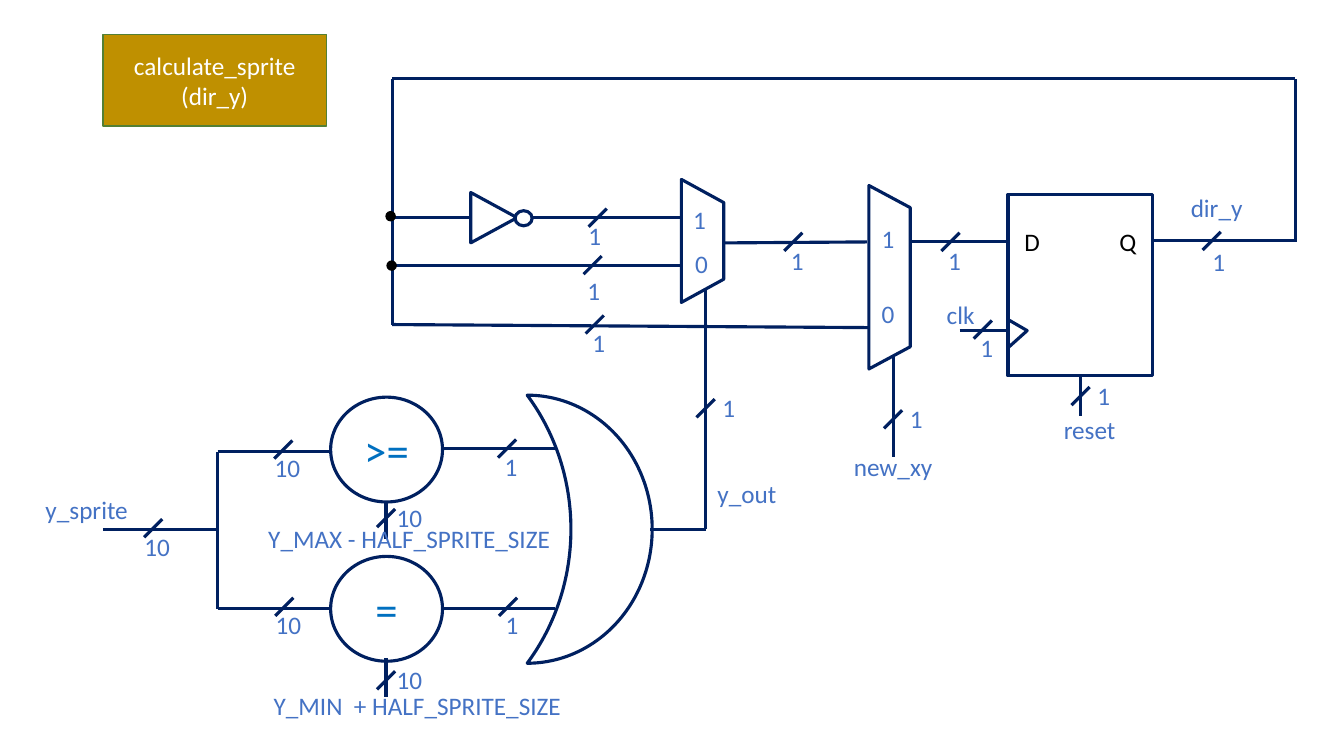
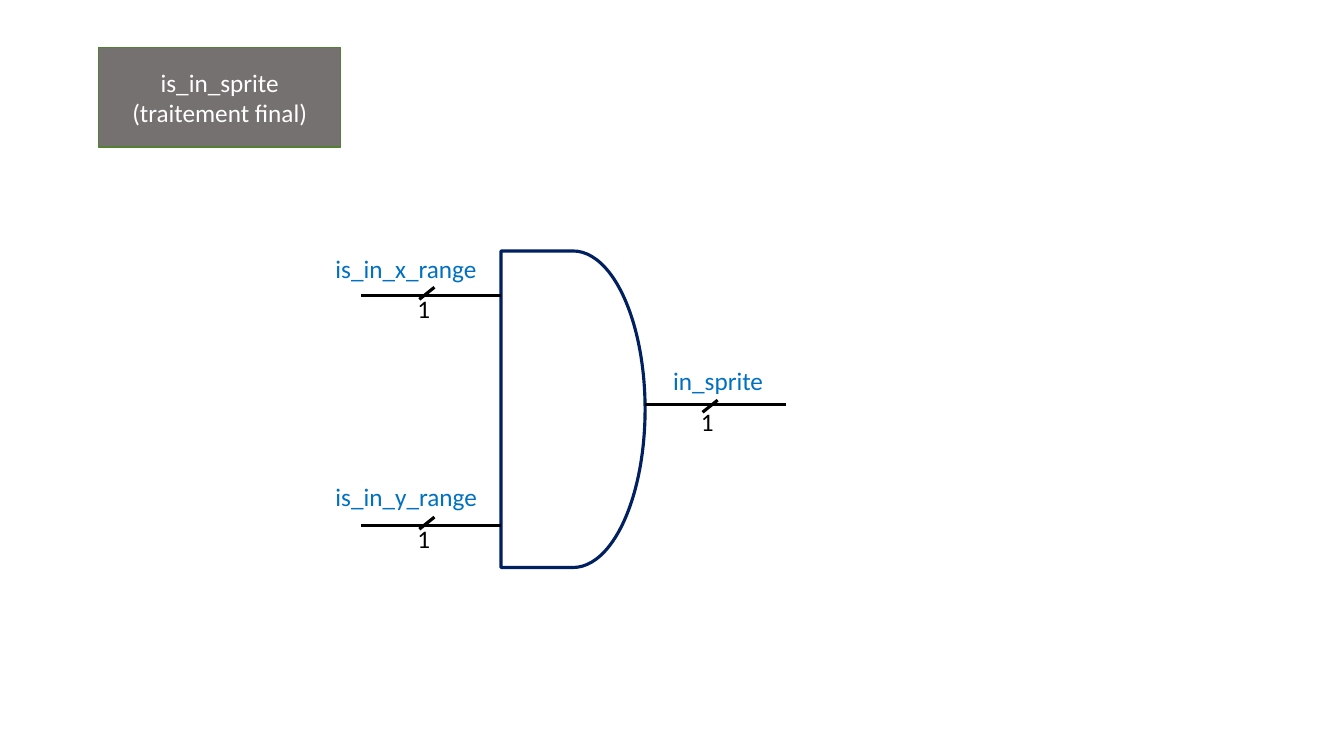
from dataclasses import dataclass
from typing import NamedTuple, Optional

from lxml.etree import SubElement
from pptx import Presentation
from pptx.dml.color import RGBColor
from pptx.enum.shapes import MSO_CONNECTOR as Connector, MSO_SHAPE as Preset
from pptx.enum.text import MSO_ANCHOR as Anchor, MSO_AUTO_SIZE as AutoSize, PP_ALIGN as Align
from pptx.oxml import parse_xml
from pptx.oxml.ns import nsdecls, qn
from pptx.util import Inches, Pt


# Colours and type sizes
@dataclass(frozen=True)
class Theme:
    font: str = "Calibri"
    text_size: float = 18
    operator_size: float = 32
    wire_width: float = 2.25
    thin_width: float = 1
    navy: str = "002060"
    label: str = "4472C4"
    accent: str = "0070C0"
    gold: str = "BF9000"
    grey: str = "767171"
    green: str = "538035"
    white: str = "FFFFFF"
    black: str = "000000"


THEME = Theme()

# Columns and rows of the grid are a tenth of an inch
CELL = Inches(0.1)
SLIDE_COLUMNS, SLIDE_ROWS = 133.33, 75
LABEL_ROWS = 4
TITLE_ONLY = 5

# Shift from a tick to the centre and top of its bit count
BELOW = (0.4, -0.2)
BESIDE = (2.3, -2.1)
UNDER_GATE_WIRE = (-0.3, -0.5)
BUS_TICK = (0.9, 0.9)
GATE_TICK = (0.75, 0.6)


class Box(NamedTuple):
    column: float
    row: float
    width: float
    height: float


class Wire(NamedTuple):
    column: float
    row: float
    end_column: float
    end_row: float


class Tick(NamedTuple):
    column: float
    row: float
    bits: str = "1"
    shift: tuple = BELOW


class Label(NamedTuple):
    text: str
    centre: float
    row: float
    width: float = 12


class Outline(NamedTuple):
    points: tuple
    closed: bool = True


class Signal(NamedTuple):
    name: str
    name_column: float
    name_row: float
    wire: Wire
    tick: Tick


def cells(count: float) -> int:
    return round(count * CELL)


def colour(code: str) -> RGBColor:
    return RGBColor.from_string(code)


# Drawing functions
def write_text(frame, text: str, *, size: float = THEME.text_size,
               ink: str = THEME.label, align=Align.CENTER,
               anchor=Anchor.TOP, wrap: bool = True) -> None:
    frame.word_wrap = wrap
    frame.auto_size = AutoSize.NONE
    frame.vertical_anchor = anchor
    for index, line in enumerate(text.split("\n")):
        paragraph = frame.paragraphs[0] if index == 0 else frame.add_paragraph()
        paragraph.alignment = align
        run = paragraph.add_run()
        run.text = line
        run.font.name = THEME.font
        run.font.size = Pt(size)
        run.font.color.rgb = colour(ink)


def paint(shape, fill: Optional[str], line: str, width: float) -> None:
    if fill is None:
        shape.fill.background()
    else:
        shape.fill.solid()
        shape.fill.fore_color.rgb = colour(fill)
    shape.line.color.rgb = colour(line)
    shape.line.width = Pt(width)


def draw_shape(slide, preset, box: Box, *, fill: Optional[str] = THEME.white,
               line: str = THEME.navy, width: float = THEME.wire_width):
    shape = slide.shapes.add_shape(preset, *map(cells, box))
    shape.shadow.inherit = False
    paint(shape, fill, line, width)
    return shape


def draw_outline(slide, outline: Outline) -> None:
    points = [tuple(map(cells, point)) for point in outline.points]
    builder = slide.shapes.build_freeform(*points[0])
    builder.add_line_segments(points[1:], close=outline.closed)
    shape = builder.convert_to_shape()
    shape.shadow.inherit = False
    paint(shape, None, THEME.navy, THEME.wire_width)


def draw_wire(slide, wire: Wire, ink: str = THEME.navy):
    connector = slide.shapes.add_connector(Connector.STRAIGHT, *map(cells, wire))
    connector.line.color.rgb = colour(ink)
    connector.line.width = Pt(THEME.wire_width)
    SubElement(connector.line._get_or_add_ln().getparent(), qn("a:effectLst"))
    return connector


def draw_label(slide, label: Label, **text_format) -> None:
    left = label.centre - label.width / 2
    box = Box(left, label.row, label.width, LABEL_ROWS)
    text_box = slide.shapes.add_textbox(*map(cells, box))
    write_text(text_box.text_frame, label.text, **text_format)


def draw_tick(slide, tick: Tick, reach: tuple = BUS_TICK,
              ink: str = THEME.navy, text_ink: str = THEME.label) -> None:
    across, up = reach
    draw_wire(slide, Wire(tick.column - across, tick.row + up,
                          tick.column + across, tick.row - up), ink)
    shift_column, shift_row = tick.shift
    draw_label(slide, Label(tick.bits, tick.column + shift_column,
                            tick.row + shift_row, 4.8), ink=text_ink)


def add_titled_slide(presentation, title: str, box: Box, fill: str):
    slide = presentation.slides.add_slide(presentation.slide_layouts[TITLE_ONLY])
    shape = slide.shapes.title
    shape.left, shape.top, shape.width, shape.height = map(cells, box)
    outline = parse_xml(f'<a:prstGeom {nsdecls("a")} prst="roundRect"><a:avLst/></a:prstGeom>')
    shape.element.spPr.find(qn("a:xfrm")).addnext(outline)
    paint(shape, fill, THEME.green, THEME.thin_width)
    write_text(shape.text_frame, title, ink=THEME.white, anchor=Anchor.MIDDLE)
    return slide


# Slide 1: vertical direction register
FLIP_FLOP = Box(100, 19.3, 14.3, 18)
COMPARATORS = ((">=", 39.4), ("=", 55.2))
JUNCTIONS = ((38.75, 21.45), (38.85, 26.35))

OUTLINES = (
    Outline(((67.6, 17.8), (71.8, 20.1), (71.8, 27.7), (67.6, 30))),    # inner multiplexer
    Outline(((86.2, 18.4), (90.3, 20.6), (90.3, 34.4), (86.2, 36.6))),  # outer multiplexer
    Outline(((46.7, 19.1), (51.3, 21.6), (46.7, 24.1))),                # inverter
    Outline(((100, 31.7), (101.9, 32.8), (100, 34.5)), closed=False),   # clock input
)

WIRES = (
    # Feedback loop
    Wire(114.3, 23.9, 128.5, 23.9), Wire(128.5, 24, 128.5, 7.8),
    Wire(38.9, 7.8, 128.5, 7.8), Wire(38.9, 32.2, 38.9, 7.8),
    # Multiplexer inputs and outputs
    Wire(38.9, 21.6, 46.8, 21.6), Wire(52.8, 21.6, 67.6, 21.6),
    Wire(38.9, 26.3, 67.6, 26.3), Wire(38.9, 32.2, 86.2, 32.5),
    Wire(71.8, 24.1, 86, 24), Wire(90.5, 24, 100, 24),
    # Selection and clock
    Wire(70, 52.5, 70, 28.7), Wire(64.5, 52.5, 70, 52.5),
    Wire(88.6, 45.3, 88.6, 35.4), Wire(95.2, 32.8, 100, 32.8),
    # Comparators
    Wire(43.9, 44.5, 55.1, 44.5), Wire(43.9, 60.4, 55.1, 60.4),
    Wire(38.3, 49.7, 38.3, 53.5), Wire(38.3, 65.3, 38.3, 69.1),
    Wire(21.6, 44.8, 32.8, 44.8), Wire(21.6, 60.4, 32.8, 60.4),
    Wire(21.6, 44.8, 21.6, 60.4), Wire(10.2, 52.5, 21.6, 52.5),
)

TICKS = (
    Tick(120.2, 23.9, shift=(0.7, 0)), Tick(94.3, 24), Tick(78.7, 24),
    Tick(59.3, 21.6, shift=(-0.3, -0.2)), Tick(58.8, 26.3, shift=(0.1, 0.5)),
    Tick(59, 32.2), Tick(97.5, 32.7),
    Tick(70, 40.5, shift=BESIDE), Tick(88.6, 41.6, shift=BESIDE),
    Tick(107.2, 39.3, shift=BESIDE),
    Tick(50.3, 44.5), Tick(50.4, 60.2),
    Tick(15.2, 52.4, "10"), Tick(28.1, 44.6, "10"), Tick(28.2, 60.2, "10"),
    Tick(38.3, 51.4, "10", BESIDE), Tick(38.3, 67.5, "10", BESIDE),
)

LABELS = (
    Label("1", 69.4, 19.8), Label("0", 69.6, 24.1),
    Label("1", 88.1, 21.7), Label("0", 88.1, 29.1),
    Label("clk", 95.3, 29.2), Label("reset", 108.1, 40.6),
    Label("dir_y", 120.7, 18.6), Label("y_sprite", 8.6, 48.5),
    Label("y_out", 74.1, 47), Label("new_xy", 88.6, 44.3, 13.5),
    Label("Y_MAX - HALF_SPRITE_SIZE", 40.6, 51.4, 34),
    Label("Y_MIN  + HALF_SPRITE_SIZE", 41.4, 68, 34.7),
)


def build_direction_slide(presentation) -> None:
    slide = add_titled_slide(presentation, "calculate_sprite\n(dir_y)",
                             Box(10.2, 3.4, 22.2, 9.1), THEME.gold)

    # Register, comparators and gates
    flip_flop = draw_shape(slide, Preset.RECTANGLE, FLIP_FLOP)
    for operator, row in COMPARATORS:
        circle = draw_shape(slide, Preset.OVAL, Box(32.8, row, 11.1, 10.4))
        write_text(circle.text_frame, operator, size=THEME.operator_size,
                   ink=THEME.accent, anchor=Anchor.MIDDLE)
    or_gate = draw_shape(slide, Preset.MOON, Box(52.3, 39.2, 12.4, 26.6), fill=None)
    or_gate.adjustments[0] = 0.65
    or_gate.rotation = 180
    for outline in OUTLINES:
        draw_outline(slide, outline)

    # Wires and junctions
    for wire in WIRES:
        draw_wire(slide, wire)
    reset_wire = draw_wire(slide, Wire(107.15, 37.3, 107.15, 41.3))
    reset_wire.begin_connect(flip_flop, 2)
    draw_shape(slide, Preset.OVAL, Box(51.1, 20.9, 1.7, 1.5))
    for column, row in JUNCTIONS:
        draw_shape(slide, Preset.OVAL, Box(column - 0.45, row - 0.45, 0.9, 0.9),
                   fill=THEME.black, line=THEME.black, width=THEME.thin_width)

    # Bit counts and names
    for tick in TICKS:
        draw_tick(slide, tick)
    for label in LABELS:
        draw_label(slide, label)
    for port in (Label("D", 102.4, 22, 4.8), Label("Q", 111.9, 22, 4.8)):
        draw_label(slide, port, ink=THEME.black)


# Slide 2: final AND gate
SIGNALS = (
    Signal("is_in_x_range", 32.3, 24.6, Wire(35.8, 29.3, 49.7, 29.3),
           Tick(42.35, 29.1, shift=UNDER_GATE_WIRE)),
    Signal("is_in_y_range", 32.3, 47.3, Wire(35.8, 52.1, 49.7, 52.1),
           Tick(42.35, 51.9, shift=UNDER_GATE_WIRE)),
    Signal("in_sprite", 65.8, 35.8, Wire(64, 40.1, 78, 40.1),
           Tick(70.45, 40.3, shift=UNDER_GATE_WIRE)),
)
NAME_COLUMNS = 18


def build_gate_slide(presentation) -> None:
    slide = add_titled_slide(presentation, "is_in_sprite\n(traitement final)",
                             Box(9.8, 4.7, 24, 9.9), THEME.grey)
    draw_shape(slide, Preset.FLOWCHART_DELAY, Box(49.7, 24.9, 14.3, 31.4))
    for signal in SIGNALS:
        draw_wire(slide, signal.wire, THEME.black)
        draw_tick(slide, signal.tick, GATE_TICK, THEME.black, THEME.black)
        draw_label(slide, Label(signal.name, signal.name_column + NAME_COLUMNS / 2,
                                signal.name_row, NAME_COLUMNS),
                   ink=THEME.accent, align=Align.LEFT)


def main() -> None:
    presentation = Presentation()
    presentation.slide_width = cells(SLIDE_COLUMNS)
    presentation.slide_height = cells(SLIDE_ROWS)
    build_direction_slide(presentation)
    build_gate_slide(presentation)
    presentation.save("out.pptx")


if __name__ == "__main__":
    main()
